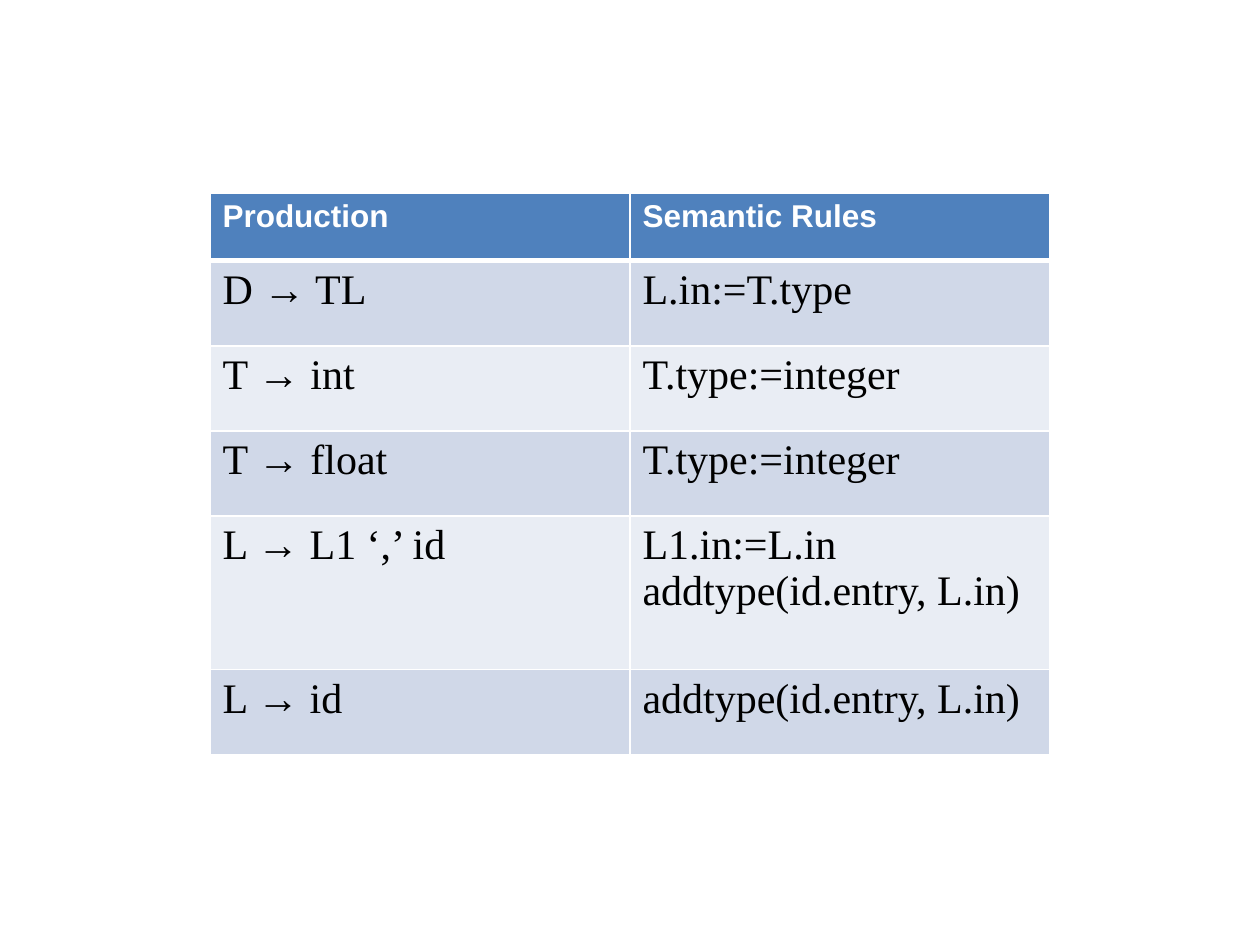
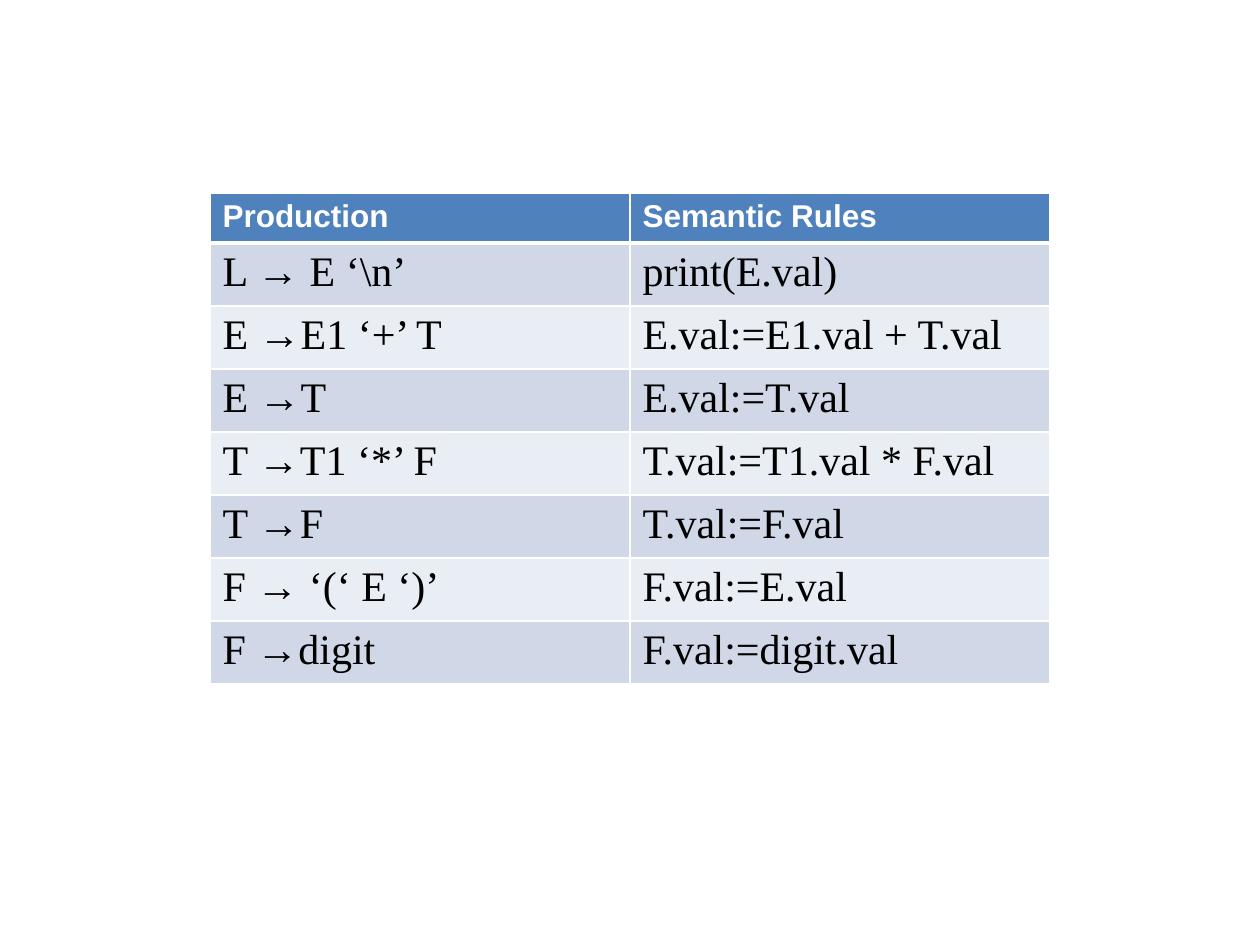
from lxml.etree import SubElement
from pptx import Presentation
from pptx.dml.color import RGBColor
from pptx.oxml.ns import qn
from pptx.util import Inches, Pt

COLORS = {
    "header": "4F81BD",
    "odd_row": "D0D8E8",
    "even_row": "E9EDF4",
    "rule": "FFFFFF",
    "header_text": "FFFFFF",
    "body_text": "000000",
}

# Shared geometry, in inches or as shares of the slide
SLIDE_WIDTH, SLIDE_HEIGHT = Inches(10), Inches(7.5)
TABLE_LEFT, TABLE_WIDTH = 1 / 6, 2 / 3
TABLE_TOP = 0.204
THIN, THICK = 1, 3

HEADINGS = ("Production", "Semantic Rules")
HEADER_FORMAT = dict(font="Arial", size=18, color="header_text", bold=True)
BODY_FORMAT = dict(font="Times New Roman", size=24, color="body_text", bold=False)

# Grammar rules: production, semantic rule
DECLARATIONS = [
    ("D → TL", "L.in:=T.type"),
    ("T → int", "T.type:=integer"),
    ("T → float", "T.type:=integer"),
    ("L → L1 ‘,’ id", "L1.in:=L.in\naddtype(id.entry, L.in)"),
    ("L → id", "addtype(id.entry, L.in)"),
]
DECLARATION_HEIGHTS = [0.54, 0.675, 0.675, 0.675, 1.22, 0.675]

EXPRESSIONS = [
    ("L → E ‘\\n’", "print(E.val)"),
    ("E →E1 ‘+’ T", "E.val:=E1.val + T.val"),
    ("E →T", "E.val:=T.val"),
    ("T →T1 ‘*’ F", "T.val:=T1.val * F.val"),
    ("T →F", "T.val:=F.val"),
    ("F → ‘(‘ E ‘)’", "F.val:=E.val"),
    ("F →digit", "F.val:=digit.val"),
]
EXPRESSION_HEIGHTS = [0.4] + [0.5] * len(EXPRESSIONS)


def write_text(frame, text, *, font, size, color, bold):
    """Write one paragraph per line of text in a single format."""
    frame.text = text
    for paragraph in frame.paragraphs:
        for run in paragraph.runs:
            run.font.name = font
            run.font.size = Pt(size)
            run.font.bold = bold
            run.font.color.rgb = RGBColor.from_string(COLORS[color])


def draw_borders(cell, top=THIN, bottom=THIN):
    """Rule the four sides of a cell; call before the fill is set."""
    properties = cell._tc.get_or_add_tcPr()
    for side, width in (("L", THIN), ("R", THIN), ("T", top), ("B", bottom)):
        line = SubElement(properties, qn(f"a:ln{side}"), w=str(Pt(width)))
        fill = SubElement(line, qn("a:solidFill"))
        SubElement(fill, qn("a:srgbClr"), val=COLORS["rule"])


def format_row(cells, texts, row_index):
    """Fill one row as the header or as a banded body row."""
    is_header = row_index == 0
    band = "header" if is_header else ("even_row", "odd_row")[row_index % 2]
    for cell, text in zip(cells, texts):
        draw_borders(
            cell,
            top=THICK if row_index == 1 else THIN,
            bottom=THICK if is_header else THIN,
        )
        cell.fill.solid()
        cell.fill.fore_color.rgb = RGBColor.from_string(COLORS[band])
        write_text(cell.text_frame, text, **(HEADER_FORMAT if is_header else BODY_FORMAT))


def add_grammar_slide(deck, rules, heights):
    """Add a slide with one table of productions and semantic rules."""
    slide = deck.slides.add_slide(deck.slide_layouts[6])
    grammar = slide.shapes.add_table(
        len(heights), len(HEADINGS),
        int(SLIDE_WIDTH * TABLE_LEFT), int(SLIDE_HEIGHT * TABLE_TOP),
        int(SLIDE_WIDTH * TABLE_WIDTH), Inches(sum(heights)),
    ).table
    for row_index, (texts, height) in enumerate(zip([HEADINGS, *rules], heights)):
        row = grammar.rows[row_index]
        row.height = Inches(height)
        format_row(row.cells, texts, row_index)


def main():
    deck = Presentation()
    deck.slide_width, deck.slide_height = SLIDE_WIDTH, SLIDE_HEIGHT
    add_grammar_slide(deck, DECLARATIONS, DECLARATION_HEIGHTS)
    add_grammar_slide(deck, EXPRESSIONS, EXPRESSION_HEIGHTS)
    deck.save("out.pptx")


if __name__ == "__main__":
    main()
